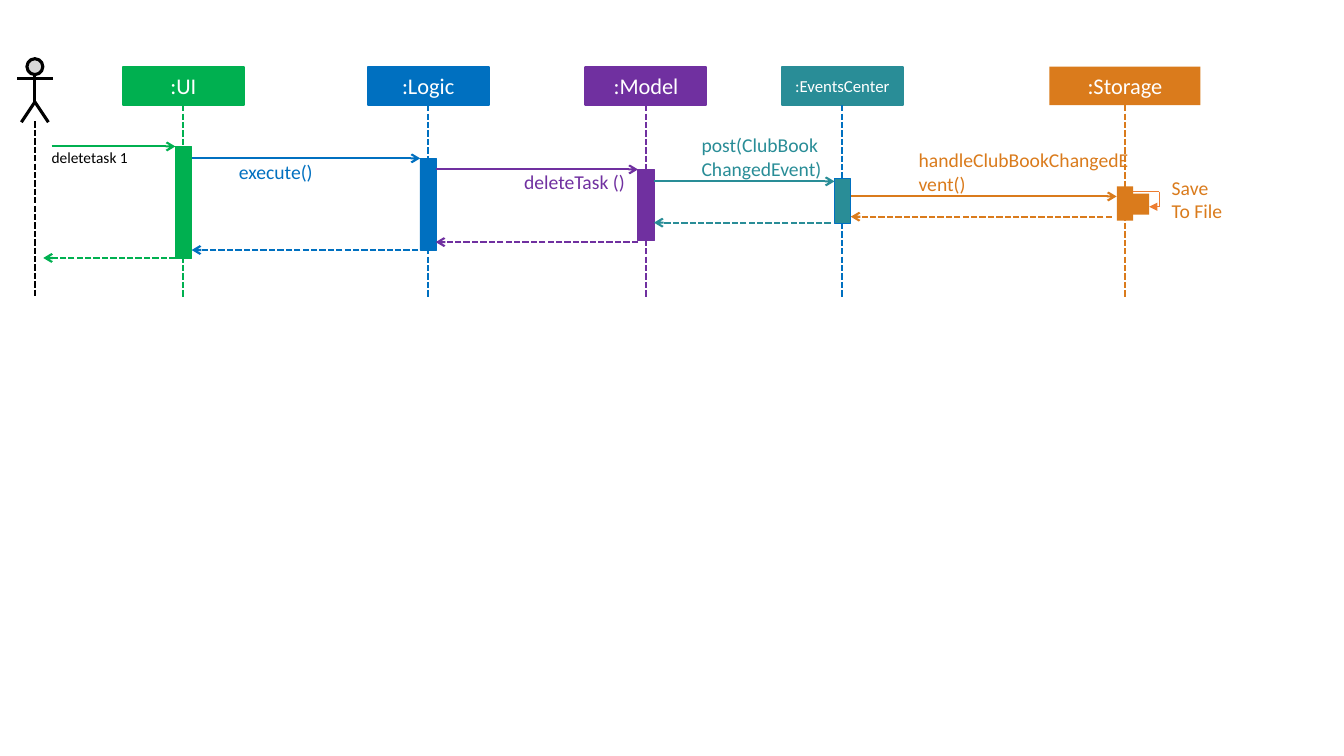
from lxml.etree import SubElement
from pptx import Presentation
from pptx.dml.color import RGBColor
from pptx.enum.dml import MSO_LINE
from pptx.enum.shapes import MSO_CONNECTOR, MSO_SHAPE
from pptx.enum.text import MSO_ANCHOR, MSO_AUTO_SIZE, PP_ALIGN
from pptx.oxml.ns import qn
from pptx.util import Cm, Pt

GREEN = RGBColor(0x00, 0xB0, 0x50)
BLUE = RGBColor(0x00, 0x70, 0xC0)
PURPLE = RGBColor(0x70, 0x30, 0xA0)
TEAL = RGBColor(0x29, 0x8D, 0x97)
ORANGE = RGBColor(0xDA, 0x7B, 0x1C)
LIGHT_ORANGE = RGBColor(0xED, 0x7D, 0x31)
GREY = RGBColor(0xD9, 0xD9, 0xD9)
BLACK = RGBColor(0x00, 0x00, 0x00)
WHITE = RGBColor(0xFF, 0xFF, 0xFF)

BOX_TOP, BOX_HEIGHT = 1.68, 0.97
LIFELINE_END = 7.49
BAR_WIDTH = 0.41
ACTOR_X = 0.88


def add_line(shapes, start, end, color, width=1.5, dashed=False, arrow=None):
    line = shapes.add_connector(MSO_CONNECTOR.STRAIGHT, *map(Cm, start + end))
    line.line.color.rgb = color
    line.line.width = Pt(width)
    if dashed:
        line.line.dash_style = MSO_LINE.SQUARE_DOT
    if arrow:
        SubElement(line.get_or_add_ln(), qn("a:tailEnd"), type=arrow)
    SubElement(line._element.spPr, qn("a:effectLst"))
    return line


def add_block(shapes, kind, left, top, width, height, fill, outline=None, weight=0.5):
    block = shapes.add_shape(kind, Cm(left), Cm(top), Cm(width), Cm(height))
    block.shadow.inherit = False
    block.fill.solid()
    block.fill.fore_color.rgb = fill
    if outline is None:
        block.line.fill.background()
    else:
        block.line.color.rgb = outline
        block.line.width = Pt(weight)
    return block


presentation = Presentation()
presentation.slide_width = Cm(33.87)
presentation.slide_height = Cm(19.05)
slide = presentation.slides.add_slide(presentation.slide_layouts[6])
shapes = slide.shapes

# Actor: head, body, arms, legs and lifeline
actor = shapes.add_group_shape()
add_block(actor.shapes, MSO_SHAPE.FLOWCHART_CONNECTOR, ACTOR_X - 0.2, 1.48, 0.4, 0.4,
          GREY, BLACK, 2.25)
add_line(actor.shapes, (ACTOR_X, 1.88), (ACTOR_X, 2.58), BLACK, 2.25)
add_line(actor.shapes, (ACTOR_X - 0.45, 1.98), (ACTOR_X + 0.45, 1.98), BLACK, 2.25)
builder = actor.shapes.build_freeform(Cm(ACTOR_X - 0.34), Cm(3.08))
builder.add_line_segments(
    [(Cm(ACTOR_X), Cm(2.57)), (Cm(ACTOR_X + 0.34), Cm(3.08))], close=False)
legs = builder.convert_to_shape()
legs.shadow.inherit = False
legs.fill.background()
legs.line.color.rgb = BLACK
legs.line.width = Pt(2.25)
add_line(shapes, (ACTOR_X, 3.06), (ACTOR_X, LIFELINE_END), BLACK, dashed=True)

# Participants: name, centre, box width, text size, fill, outline, lifeline, bar top, bar height
participants = [
    (":UI", 4.62, 3.05, 16, GREEN, GREEN, GREEN, 3.68, 2.84),
    (":Logic", 10.79, 3.05, 16, BLUE, BLUE, BLUE, 3.99, 2.31),
    (":Model", 16.28, 3.05, 16, PURPLE, PURPLE, PURPLE, 4.27, 1.8),
    (":EventsCenter", 21.23, 3.05, 12, TEAL, TEAL, BLUE, 4.5, 1.12),
    (":Storage", 28.35, 3.81, 16, ORANGE, None, ORANGE, 4.7, 0.86),
]
for name, center, width, size, fill, outline, lifeline_color, bar_top, bar_height in participants:
    box = add_block(shapes, MSO_SHAPE.RECTANGLE, center - width / 2, BOX_TOP, width, BOX_HEIGHT,
                    fill, outline, 1.5)
    box.text_frame.vertical_anchor = MSO_ANCHOR.MIDDLE
    paragraph = box.text_frame.paragraphs[0]
    paragraph.alignment = PP_ALIGN.CENTER
    run = paragraph.add_run()
    run.text = name
    run.font.name = "Calibri"
    run.font.size = Pt(size)
    run.font.color.rgb = WHITE

    lifeline = add_line(shapes, (center, BOX_TOP + BOX_HEIGHT), (center, LIFELINE_END),
                        lifeline_color, dashed=True)
    lifeline.begin_connect(box, 2)
    add_block(shapes, MSO_SHAPE.RECTANGLE, center - BAR_WIDTH / 2, bar_top, BAR_WIDTH, bar_height,
              fill, outline and lifeline_color)

# Calls and returns: colour, call start, call end, call height, return start, return end, return height
messages = [
    (GREEN, 1.3, 4.42, 3.69, 4.42, 1.09, 6.5),
    (BLUE, 4.83, 10.59, 3.99, 10.54, 4.83, 6.3),
    (PURPLE, 10.98, 16.08, 4.27, 16.08, 10.98, 6.1),
    (TEAL, 16.48, 21.03, 4.57, 20.93, 16.48, 5.61),
    (ORANGE, 21.44, 28.14, 4.95, 28.02, 21.44, 5.46),
]
for color, call_start, call_end, call_y, return_start, return_end, return_y in messages:
    add_line(shapes, (call_start, call_y), (call_end, call_y), color, arrow="arrow")
    add_line(shapes, (return_start, return_y), (return_end, return_y), color,
             dashed=True, arrow="arrow")

# Storage calling itself
add_block(shapes, MSO_SHAPE.RECTANGLE, 28.52, 4.88, 0.43, 0.53, ORANGE).width = Cm(0.44)
self_call = shapes.add_group_shape()
corners = [(28.55, 4.83), (29.21, 4.83), (29.21, 5.21), (28.73, 5.21)]
corners[-1] = (28.96, 5.21)
for index, (start, end) in enumerate(zip(corners, corners[1:])):
    add_line(self_call.shapes, start, end, LIGHT_ORANGE, 0.5,
             arrow="triangle" if index == 2 else None)

# Message labels: lines, left, top, width, height, text size, colour, alignment
labels = [
    (["deletetask 1"], 1.3, 3.73, 2.39, 0.48, 11, BLACK, PP_ALIGN.LEFT),
    (["execute()"], 6.02, 4.04, 3.96, 0.6, 14, BLUE, PP_ALIGN.LEFT),
    (["deleteTask ()"], 11.79, 4.27, 3.96, 0.6, 14, PURPLE, PP_ALIGN.RIGHT),
    (["post(ClubBook", "ChangedEvent)"], 17.68, 3.35, 3.38, 1.2, 14, TEAL, PP_ALIGN.LEFT),
    (["handleClubBookChangedEvent()"], 23.15, 3.73, 5.28, 1.2, 14, ORANGE, PP_ALIGN.LEFT),
    (["Save", "To File"], 29.53, 4.43, 1.5, 1.2, 14, ORANGE, PP_ALIGN.LEFT),
]
for lines, left, top, width, height, size, color, alignment in labels:
    label = shapes.add_textbox(Cm(left), Cm(top), Cm(width), Cm(height))
    frame = label.text_frame
    frame.word_wrap = True
    frame.auto_size = MSO_AUTO_SIZE.SHAPE_TO_FIT_TEXT
    frame.margin_left = frame.margin_right = frame.margin_top = frame.margin_bottom = 0
    for index, text in enumerate(lines):
        paragraph = frame.add_paragraph() if index else frame.paragraphs[0]
        paragraph.alignment = alignment
        run = paragraph.add_run()
        run.text = text
        run.font.name = "Calibri"
        run.font.size = Pt(size)
        run.font.color.rgb = color

presentation.save("out.pptx")
